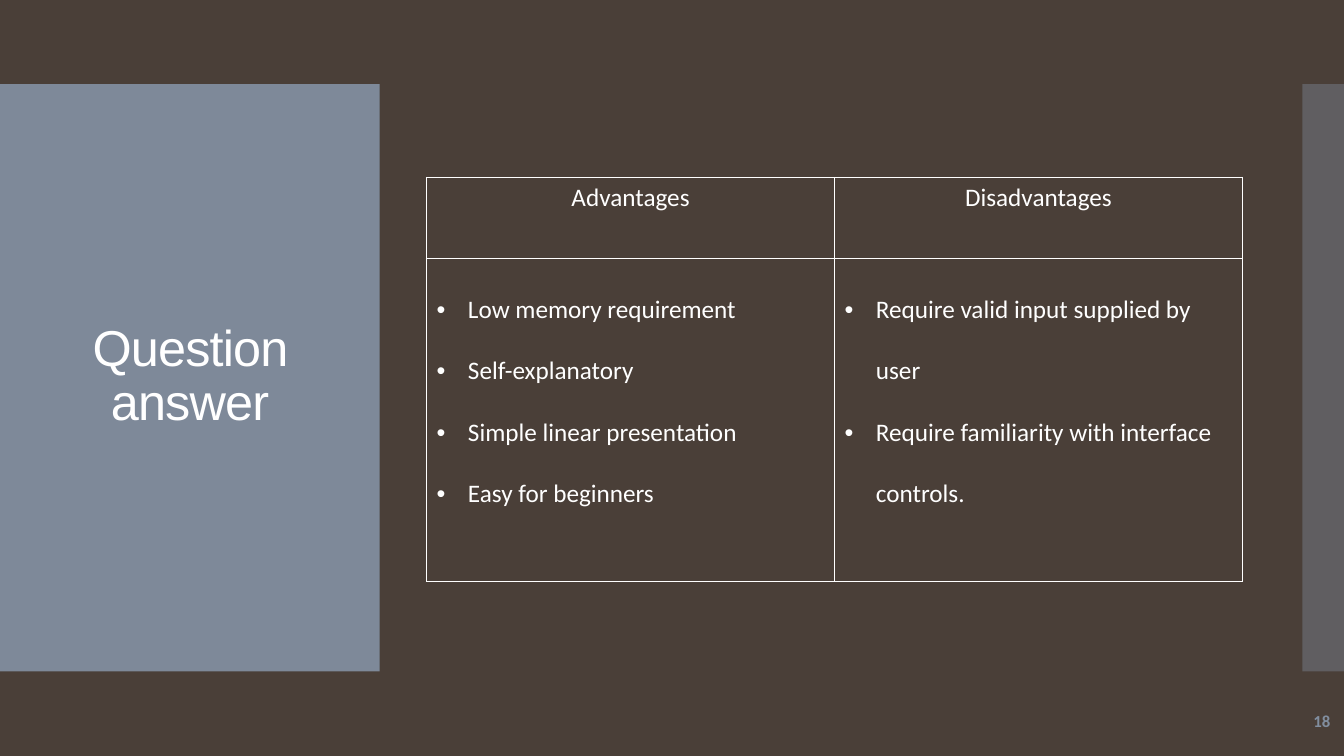
import pptx
import pptx.dml.color
import pptx.enum.shapes
import pptx.enum.text
import pptx.oxml
import pptx.oxml.ns
import pptx.util
from dataclasses import dataclass

Cm = pptx.util.Cm
Pt = pptx.util.Pt
ALIGN = pptx.enum.text.PP_ALIGN
MIDDLE = pptx.enum.text.MSO_ANCHOR.MIDDLE


@dataclass(frozen=True)
class Theme:
    background: str = "4A3F38"
    accent: str = "818E9F"
    light: str = "FFFFFF"
    title_font: str = "Arial"
    body_font: str = "Calibri"
    title_size: int = 36
    body_size: int = 18
    number_size: int = 12


def apply(target, formats):
    for name, value in formats.items():
        setattr(target, name, value)


def add_xml(parent, tag, **attributes):
    element = pptx.oxml.parse_xml(f"<{tag} {pptx.oxml.ns.nsdecls('a')}/>")
    for name, value in attributes.items():
        element.set(name, str(value))
    parent.append(element)
    return element


class SlideBuilder:
    def __init__(self, deck, theme):
        self.theme = theme
        self.page = deck.slides.add_slide(deck.slide_layouts[6])
        self.paint(self.page.background.fill, theme.background)

    def paint(self, fill, color):
        fill.solid()
        fill.fore_color.rgb = pptx.dml.color.RGBColor.from_string(color)

    def panel(self, left, top, width, height, opacity):
        shape = self.page.shapes.add_shape(
            pptx.enum.shapes.MSO_SHAPE.RECTANGLE, Cm(left), Cm(top), Cm(width), Cm(height))
        shape.shadow.inherit = False
        shape.line.fill.background()
        self.paint(shape.fill, self.theme.accent)
        color = shape._element.spPr.find(".//" + pptx.oxml.ns.qn("a:srgbClr"))
        add_xml(color, "a:alpha", val=opacity * 1000)

    def fill_para(self, para, text, color, paragraph_formats, font_formats):
        apply(para, paragraph_formats)
        span = para.add_run()
        span.text = text
        apply(span.font, font_formats)
        self.paint(span.font.fill, color)
        return span

    def text(self, text, left, top, width, height, color, paragraph_formats, font_formats):
        box = self.page.shapes.add_textbox(Cm(left), Cm(top), Cm(width), Cm(height))
        apply(box.text_frame, {"word_wrap": True, "vertical_anchor": MIDDLE})
        return self.fill_para(box.text_frame.paragraphs[0], text, color,
                              paragraph_formats, font_formats)

    def border(self, cell):
        properties = cell._tc.get_or_add_tcPr()
        for side in ("L", "R", "T", "B"):
            line = add_xml(properties, f"a:ln{side}", w=Pt(1))
            add_xml(add_xml(line, "a:solidFill"), "a:srgbClr", val=self.theme.light)
        cell.fill.background()

    def bullet(self, para):
        properties = para._p.get_or_add_pPr()
        properties.set("marL", str(Cm(0.79)))
        properties.set("indent", str(-Cm(0.79)))
        add_xml(properties, "a:buFont", typeface="Arial")
        add_xml(properties, "a:buChar", char="•")

    def comparison(self, columns, left, top, column_width, row_heights):
        frame = self.page.shapes.add_table(
            len(row_heights), len(columns), Cm(left), Cm(top),
            Cm(column_width * len(columns)), Cm(sum(row_heights)))
        table = frame.table
        apply(table, {"first_row": False, "horz_banding": False})
        for row, height in zip(table.rows, row_heights):
            row.height = Cm(height)
        font = {"name": self.theme.body_font, "size": Pt(self.theme.body_size), "bold": False}
        for index, (heading, points) in enumerate(columns.items()):
            table.columns[index].width = Cm(column_width)
            header, body = table.cell(0, index), table.cell(1, index)
            self.border(header)
            self.border(body)
            self.fill_para(header.text_frame.paragraphs[0], heading, self.theme.light,
                           {"alignment": ALIGN.CENTER}, font)
            for number, point in enumerate(points):
                content = body.text_frame
                para = content.add_paragraph() if number else content.paragraphs[0]
                self.bullet(para)
                self.fill_para(para, point, self.theme.light, {"line_spacing": 2.0}, font)


def main():
    deck = pptx.Presentation()
    apply(deck, {"slide_width": Cm(33.87), "slide_height": Cm(19.05)})
    theme = Theme()
    builder = SlideBuilder(deck, theme)
    builder.panel(0, 2.12, 9.57, 14.8, opacity=95)
    builder.panel(32.82, 2.12, 1.05, 14.8, opacity=40)
    title = builder.text(
        "Question answer", 0.7, 3.12, 8.18, 12.78, theme.light,
        {"alignment": ALIGN.CENTER, "line_spacing": 0.9},
        {"name": theme.title_font, "size": Pt(theme.title_size)})
    title.font._element.set("spc", "-60")
    builder.comparison({
        "Advantages": ["Low memory requirement", "Self-explanatory",
                       "Simple linear presentation", "Easy for beginners"],
        "Disadvantages": ["Require valid input supplied by user",
                          "Require familiarity with interface controls."],
    }, 10.75, 4.47, 10.28, [2.04, 8.15])
    builder.text(
        "18", 29.54, 17.65, 4.24, 1.02, theme.accent, {"alignment": ALIGN.RIGHT},
        {"name": theme.body_font, "size": Pt(theme.number_size), "bold": True})
    deck.save("out.pptx")


if __name__ == "__main__":
    main()
